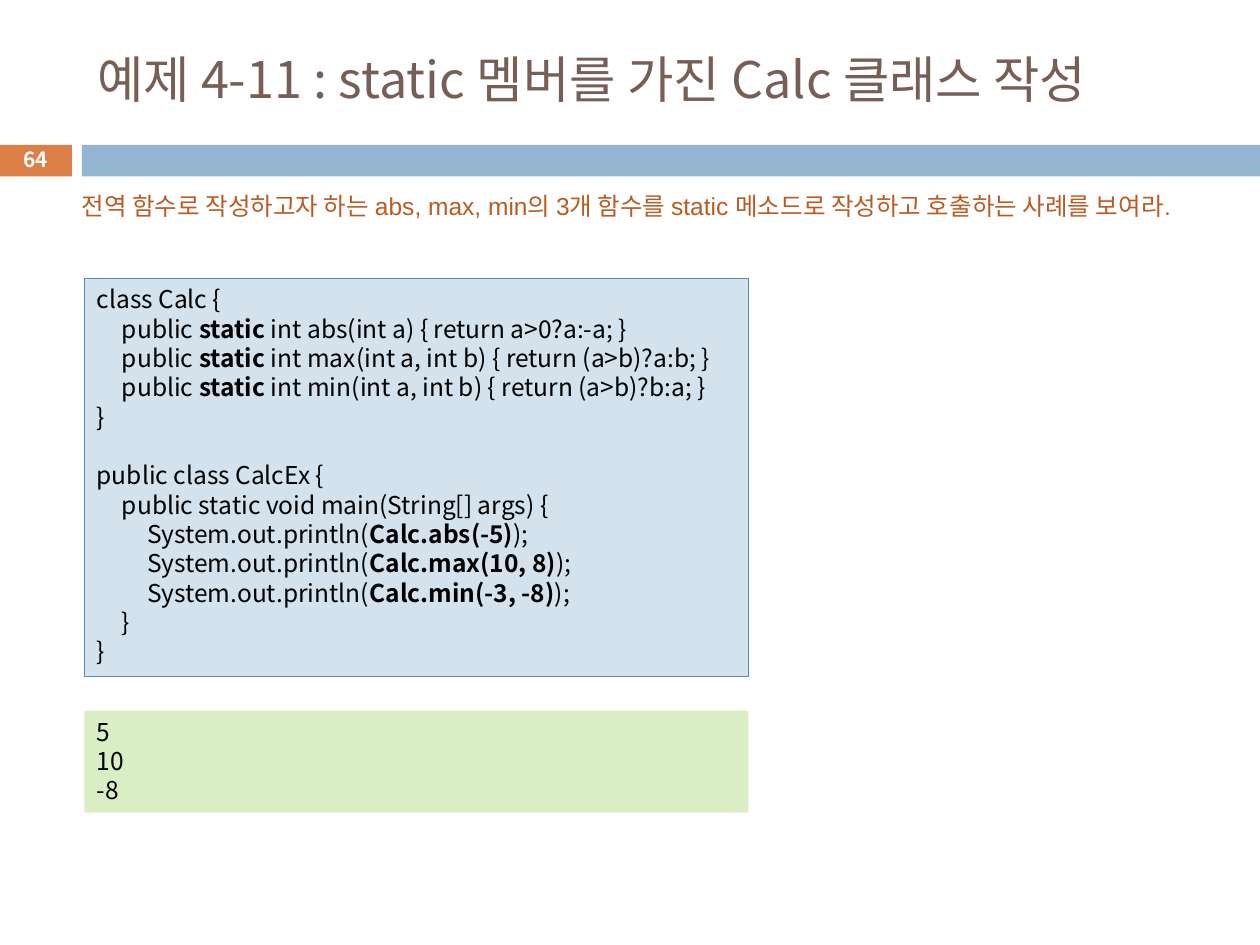
"""Build the Calc static-member example slide."""
from lxml.etree import SubElement
from pptx import Presentation
from pptx.dml.color import RGBColor
from pptx.enum.shapes import MSO_SHAPE as SHAPE
from pptx.enum.text import MSO_ANCHOR as ANCHOR, PP_ALIGN as ALIGN
from pptx.oxml.ns import qn
from pptx.util import Inches, Pt

ORANGE = RGBColor(0xDD, 0x80, 0x47)
BLUE = RGBColor(0x94, 0xB6, 0xD2)
BROWN = RGBColor(0x77, 0x5F, 0x55)
RUST = RGBColor(0xB9, 0x5B, 0x22)
PALE_BLUE = RGBColor(0xD4, 0xE2, 0xED)
EDGE_BLUE = RGBColor(0x55, 0x8B, 0xB8)
PALE_GREEN = RGBColor(0xDA, 0xEE, 0xC4)
WHITE = RGBColor(0xFF, 0xFF, 0xFF)
BLACK = RGBColor(0, 0, 0)
KOREAN = "Noto Sans CJK KR"

CODE = [
    ["class Calc {"],
    ["\tpublic ", "static ", "int abs(int a) { return a>0?a:-a; }"],
    ["\tpublic ", "static ", "int max(int a, int b) { return (a>b)?a:b; }"],
    ["\tpublic ", "static ", "int min(int a, int b) { return (a>b)?b:a; }"],
    ["}"],
    [""],
    ["public class CalcEx {"],
    ["\tpublic static void main(String[] args) {"],
    ["\t\tSystem.out.println(", "Calc.abs(-5)", ");"],
    ["\t\tSystem.out.println(", "Calc.max(10, 8)", ");"],
    ["\t\tSystem.out.println(", "Calc.min(-3, -8)", ");"],
    ["\t}"],
    ["}"],
]
OUTPUT = [["5"], ["10"], ["-8"]]


def add_rect(left, top, width, height, fill, line=None):
    sp = s.shapes.add_shape(SHAPE.RECTANGLE, Inches(left), Inches(top), Inches(width), Inches(height))
    sp.shadow.inherit = False
    sp.fill.solid()
    sp.fill.fore_color.rgb = fill
    if line is None:
        sp.line.fill.background()
    else:
        sp.line.color.rgb = line
        sp.line.width = Pt(0.75)
    return sp


def style(r, size, color, font=KOREAN, bold=False):
    r.font.size = Pt(size)
    r.font.color.rgb = color
    r.font.name = font
    r.font.bold = bold
    SubElement(r.font._element, qn("a:ea")).set("typeface", KOREAN)


prs = Presentation()
prs.slide_width, prs.slide_height = Inches(10), Inches(7.5)
s = prs.slides.add_slide(prs.slide_layouts[5])

add_rect(-0.01, 1.15, 0.58, 0.25, ORANGE)
add_rect(0.65, 1.15, 9.35, 0.25, BLUE)

title = s.shapes.title
title.left, title.top, title.width, title.height = Inches(0.67), Inches(0.25), Inches(8.92), Inches(0.74)
title.text_frame.text = "예제 4-11 : static 멤버를 가진 Calc 클래스 작성"
title.text_frame.vertical_anchor = ANCHOR.MIDDLE
p = title.text_frame.paragraphs[0]
p.alignment = ALIGN.LEFT
style(p.runs[0], 28.8, BROWN)

number = s.shapes.add_textbox(Inches(-0.01), Inches(1.13), Inches(0.58), Inches(0.27))
tf = number.text_frame
tf.text = "64"
tf.word_wrap = True
tf.margin_top = tf.margin_bottom = 0
tf.vertical_anchor = ANCHOR.MIDDLE
p = tf.paragraphs[0]
p.alignment = ALIGN.CENTER
style(p.runs[0], 11.9, WHITE, bold=True)

task = s.shapes.add_textbox(Inches(0.55), Inches(1.47), Inches(8.82), Inches(0.57))
tf = task.text_frame
tf.word_wrap = True
tf.text = "전역 함수로 작성하고자 하는 abs, max, min의 3개 함수를 static 메소드로 작성하고 호출하는 사례를 보여라."
p = tf.paragraphs[0]
p.line_spacing = Pt(16.75)
style(p.runs[0], 14, RUST, "Arial")

code_box = add_rect(0.67, 2.21, 5.27, 3.16, PALE_BLUE, EDGE_BLUE)
output_box = add_rect(0.67, 5.64, 5.27, 0.81, PALE_GREEN)
for sp, lines in ((code_box, CODE), (output_box, OUTPUT)):
    tf = sp.text_frame
    tf.vertical_anchor = ANCHOR.TOP
    tf.text = "\n".join("" for line in lines)
    for p, line in zip(tf.paragraphs, lines):
        p.alignment = ALIGN.LEFT
        p.line_spacing = Pt(16.75)
        tabs = SubElement(p._p.get_or_add_pPr(), qn("a:tabLst"))
        for stop in (0.2, 0.4):
            tab = SubElement(tabs, qn("a:tab"))
            tab.set("pos", str(Inches(stop)))
            tab.set("algn", "l")
        for i, text in enumerate(line):
            r = p.add_run()
            r.text = text
            style(r, 14, BLACK, bold=i == 1)

prs.save("out.pptx")
